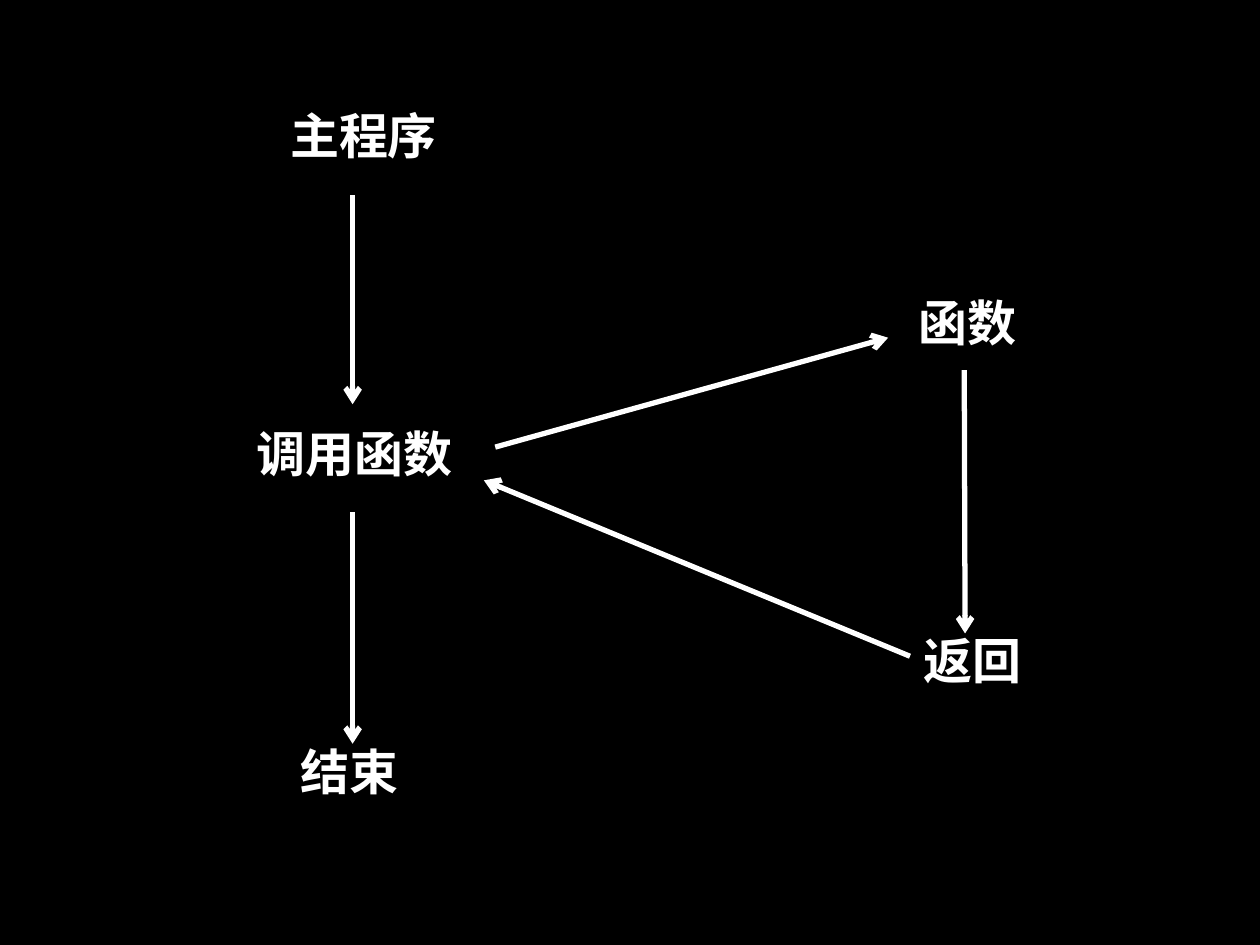
from dataclasses import dataclass

import pptx
import pptx.dml.color
import pptx.enum.shapes
import pptx.enum.text
import pptx.oxml.ns
import pptx.util
from lxml import etree

Pt = pptx.util.Pt


@dataclass(frozen=True)
class Theme:
    background = pptx.dml.color.RGBColor(0, 0, 0)
    foreground = pptx.dml.color.RGBColor(255, 255, 255)
    font = "Times New Roman"
    label_size = Pt(28)
    arrow_width = Pt(3)


THEME = Theme()

# text, left, top, width, height
STEPS = [
    ("主程序", 145.5, 60.5, 124.5, 44),
    ("调用函数", 121.5, 242, 162, 39.5),
    ("返回", 507.5, 360.5, 96.5, 43),
    ("结束", 127.5, 423.5, 144, 43),
    ("函数", 513.5, 167, 79, 44.5),
]

MAIN_FLOW_X = 201.5
# start x, start y, end x, end y
ARROWS = [
    (MAIN_FLOW_X, 111.5, MAIN_FLOW_X, 231),
    (MAIN_FLOW_X, 292.5, MAIN_FLOW_X, 425),
    (283, 255.5, 507.5, 193),
    (551, 211.5, 551.5, 362),
    (520, 375, 276.5, 274.5),
]


def add_label(slide, text, left, top, width, height):
    label = slide.shapes.add_textbox(Pt(left), Pt(top), Pt(width), Pt(height))
    frame = label.text_frame
    frame.word_wrap = True
    frame.margin_left = frame.margin_top = 0
    frame.margin_right = frame.margin_bottom = 0
    paragraph = frame.paragraphs[0]
    paragraph.text = text
    paragraph.alignment = pptx.enum.text.PP_ALIGN.CENTER
    paragraph.font.name = THEME.font
    paragraph.font.size = THEME.label_size
    paragraph.font.bold = True
    paragraph.font.color.rgb = THEME.foreground


def add_arrow(slide, *ends):
    connector = slide.shapes.add_connector(
        pptx.enum.shapes.MSO_CONNECTOR.STRAIGHT, *map(Pt, ends))
    connector.line.color.rgb = THEME.foreground
    connector.line.width = THEME.arrow_width
    qn = pptx.oxml.ns.qn
    properties = connector.element.spPr
    etree.SubElement(properties.find(qn("a:ln")), qn("a:tailEnd"), type="arrow")
    etree.SubElement(properties, qn("a:effectLst"))


def main():
    presentation = pptx.Presentation()
    presentation.slide_width, presentation.slide_height = Pt(720), Pt(540)
    slide = presentation.slides.add_slide(presentation.slide_layouts[6])
    slide.background.fill.solid()
    slide.background.fill.fore_color.rgb = THEME.background
    for step in STEPS:
        add_label(slide, *step)
    for arrow in ARROWS:
        add_arrow(slide, *arrow)
    presentation.save("out.pptx")


if __name__ == "__main__":
    main()
